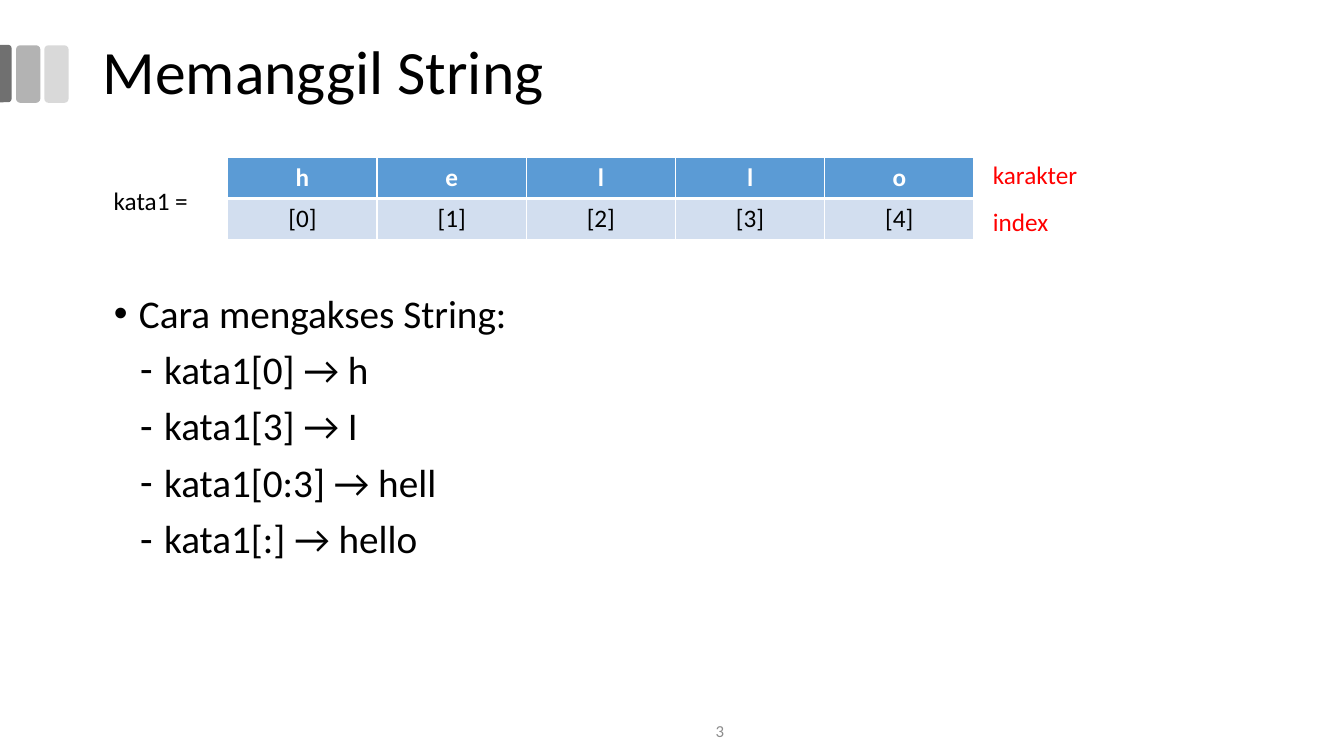
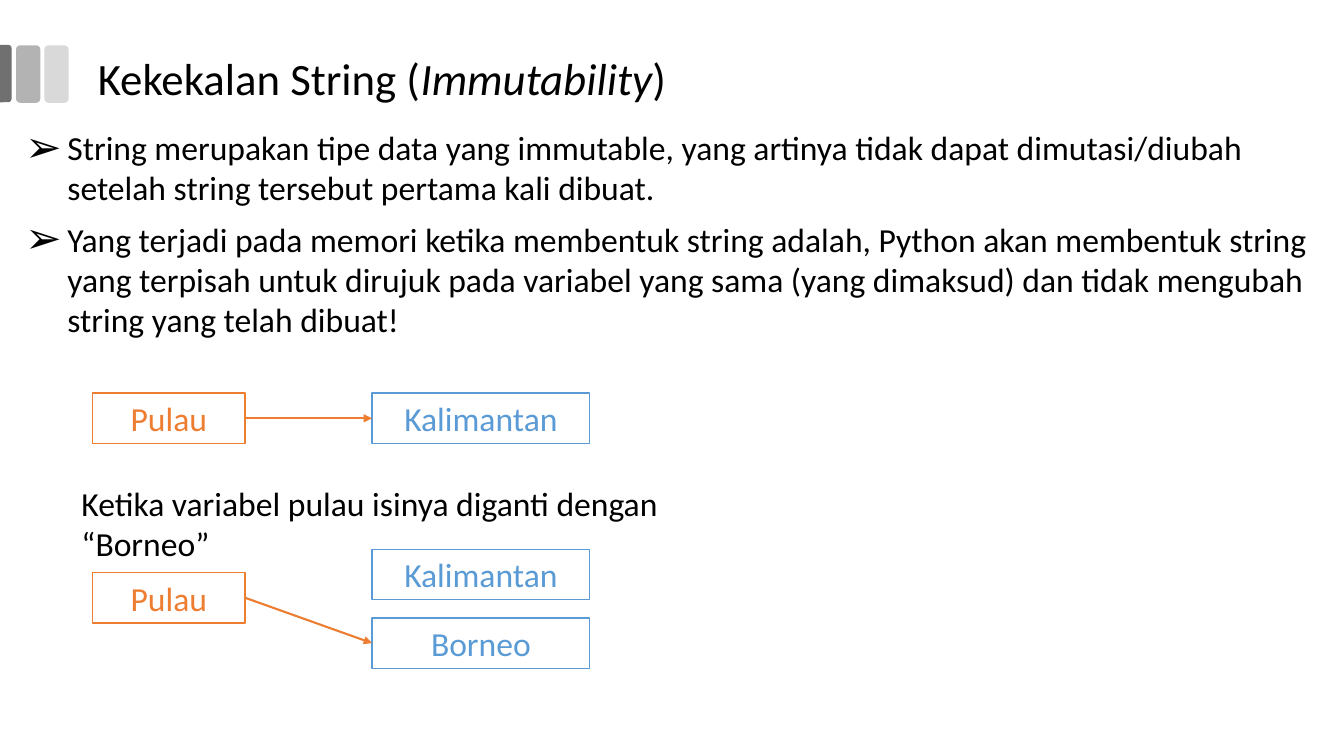
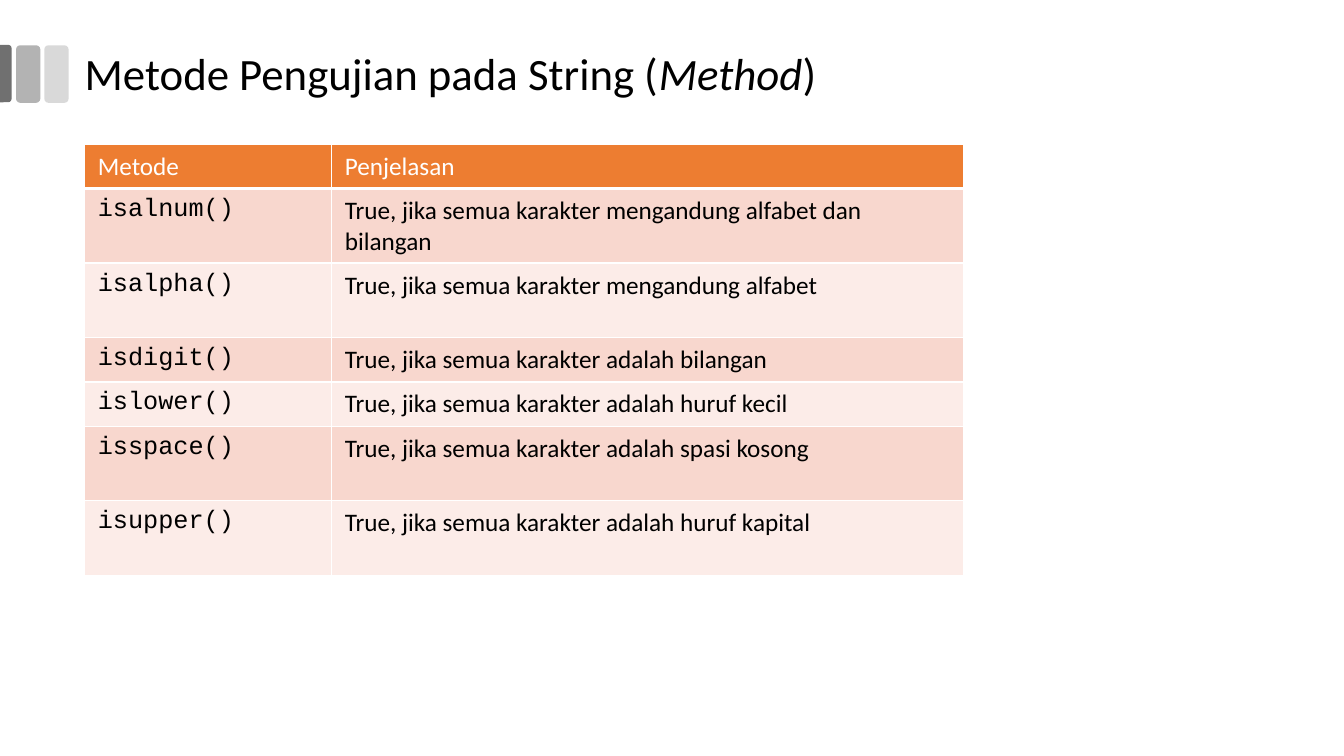
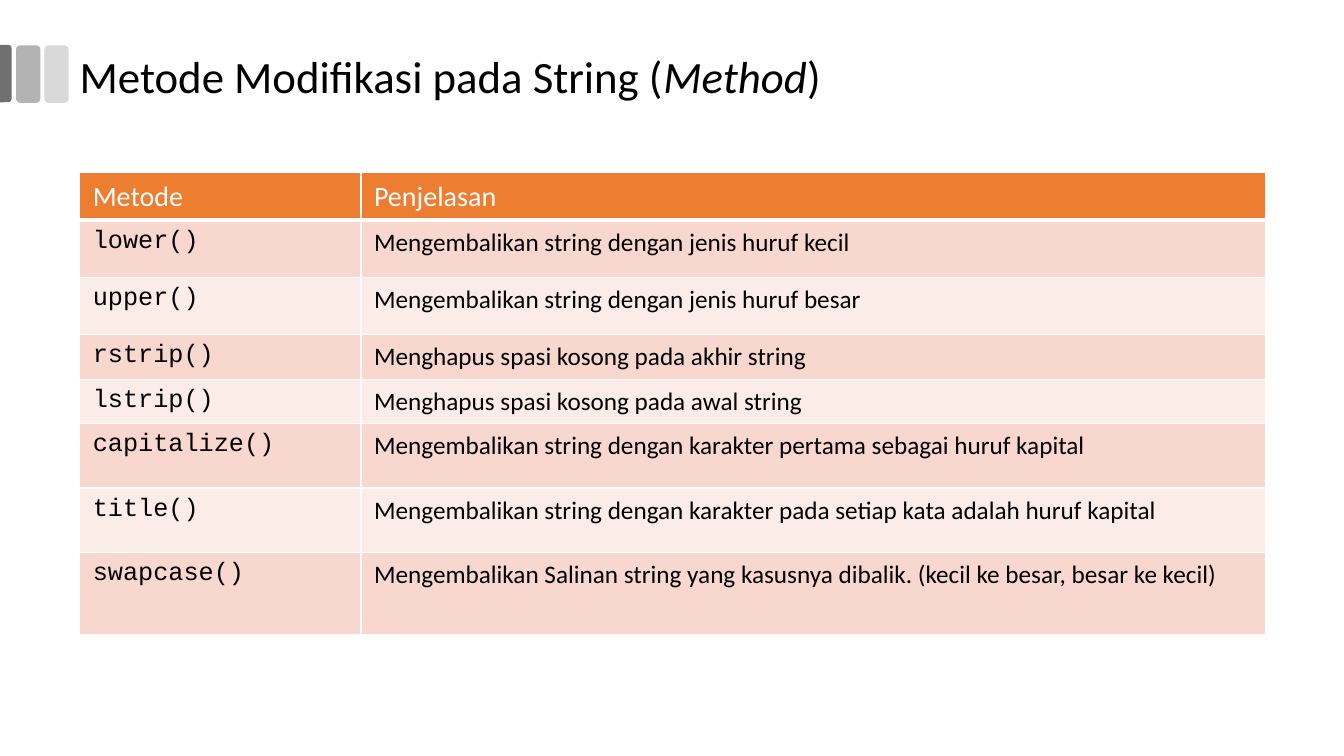
"""Build four slides about strings: indexing, immutability and methods."""
from lxml import etree
from pptx import Presentation
from pptx.dml.color import RGBColor
from pptx.enum.shapes import MSO_CONNECTOR, MSO_SHAPE
from pptx.enum.text import MSO_ANCHOR, PP_ALIGN
from pptx.oxml.ns import qn
from pptx.util import Pt

PX = 9144
MID = MSO_ANCHOR.MIDDLE
TOP = MSO_ANCHOR.TOP
CENTER = PP_ALIGN.CENTER
LEFT = PP_ALIGN.LEFT
RECT = MSO_SHAPE.RECTANGLE
ROUND = MSO_SHAPE.ROUNDED_RECTANGLE
HALF = MSO_SHAPE.ROUND_2_SAME_RECTANGLE
LINE = MSO_CONNECTOR.STRAIGHT

BLACK = RGBColor(0x00, 0x00, 0x00)
WHITE = RGBColor(0xFF, 0xFF, 0xFF)
RED = RGBColor(0xFF, 0x00, 0x00)
BLUE = RGBColor(0x5B, 0x9B, 0xD5)
PALE = RGBColor(0xD2, 0xDE, 0xEF)
ORANGE = RGBColor(0xED, 0x7D, 0x31)
PEACH = RGBColor(0xF8, 0xD7, 0xCE)
CREAM = RGBColor(0xFC, 0xEC, 0xE8)
GREY = RGBColor(0x8C, 0x8C, 0x8C)
DARK = RGBColor(0x70, 0x70, 0x70)
SILVER = RGBColor(0xB3, 0xB3, 0xB3)
LIGHT = RGBColor(0xD9, 0xD9, 0xD9)

SANS = "Calibri"
MONO = "Courier New"
WIDE = {"margin_left": 13 * PX, "margin_right": 13 * PX}
CELL = {**WIDE, "margin_top": 7 * PX, "margin_bottom": 7 * PX}
HEAD = {**WIDE, "margin_top": 13 * PX, "margin_bottom": 13 * PX}


def write(frame, lines, size, color, face=SANS, bold=False, **form):
    """Fill a frame with lines; parts between bars are italic."""
    frame.word_wrap = True
    for num, line in enumerate(lines):
        para = frame.add_paragraph() if num else frame.paragraphs[0]
        for key, val in form.items():
            setattr(para, key, val)
        for spot, part in enumerate(line.split("|")):
            run = para.add_run()
            run.text = part
            look = {"size": Pt(size), "name": face, "bold": bold, "italic": spot % 2 == 1}
            for key, val in look.items():
                setattr(run.font, key, val)
            run.font.color.rgb = color


def grid(slide, left, top, cols, rows, data, fills, sizes, faces, pads, align, bold):
    """Add a table with a coloured head row and banded rows."""
    table = slide.shapes.add_table(
        len(rows), len(cols), left * PX, top * PX, sum(cols) * PX, sum(rows) * PX
    ).table
    for col, wide in zip(table.columns, cols):
        col.width = wide * PX
    for y, (row, high) in enumerate(zip(table.rows, rows)):
        row.height = high * PX
        for x, cell in enumerate(row.cells):
            for key, val in pads.items():
                setattr(cell, key, val)
            props = cell._tc.get_or_add_tcPr()
            for side in "LRTB":
                thick = 3 if side == "B" and y == 0 else 1
                edge = etree.SubElement(props, qn(f"a:ln{side}"), w=str(Pt(thick)))
                paint = etree.SubElement(edge, qn("a:solidFill"))
                etree.SubElement(paint, qn("a:srgbClr"), val=str(WHITE))
            cell.fill.solid()
            cell.fill.fore_color.rgb = fills[2 - y % 2] if y else fills[0]
            write(cell.text_frame, [data[y][x]], sizes[min(y, 1)],
                  BLACK if y else WHITE, faces[x] if y else SANS,
                  bold and y == 0, alignment=align)


deck = Presentation()
deck.slide_width = 1333 * PX
deck.slide_height = 750 * PX
blank = deck.slide_layouts[6]

TITLES = [
    ("Memanggil String", (92, 1, 1150, 145), 44, MID, {}),
    ("Kekekalan String (|Immutability|)", (84, 43, 1150, 74), 32, TOP, HEAD),
    ("Metode Pengujian pada String (|Method|)", (71, 38, 1150, 95), 32, TOP, HEAD),
    ("Metode Modifikasi pada String (|Method|)", (66, 41, 1150, 59), 32, TOP, HEAD),
]
slides = []
for title, area, size, anchor, pads in TITLES:
    slide = deck.slides.add_slide(blank)
    slides.append(slide)
    frame = slide.shapes.add_textbox(*[n * PX for n in area]).text_frame
    frame.vertical_anchor = anchor
    for key, val in pads.items():
        setattr(frame, key, val)
    write(frame, [title], size, BLACK, line_spacing=0.9)
access, fixed, tests, edits = slides

BARS = [
    (ROUND, (44, 45, 24, 57), LIGHT, 0),
    (ROUND, (16, 45, 24, 57), SILVER, 0),
    (HALF, (-23, 67, 57, 12), DARK, 90),
]
for kind, area, color, turn in BARS:
    bar = access.shapes.add_shape(kind, *[n * PX for n in area])
    bar.rotation = turn
    bar.shadow.inherit = False
    bar.fill.solid()
    bar.fill.fore_color.rgb = color
    bar.line.fill.background()
    if kind == HALF:
        bar.adjustments[0] = 0.29
    blank.shapes.element.append(bar.element)

word = "hello"
grid(access, 226, 156, [148] * 5, [41] * 2,
     [list(word), [f"[{n}]" for n in range(len(word))]],
     (BLUE, PALE, PALE), (18, 18), [SANS] * 5, {}, CENTER, True)

LABELS = [
    ("kata1 =", (103, 179, 100, 40), BLACK),
    ("karakter", (975, 153, 104, 40), RED),
    ("index", (975, 200, 76, 40), RED),
]
for text, area, color in LABELS:
    frame = access.shapes.add_textbox(*[n * PX for n in area]).text_frame
    write(frame, [text], 18, color)
    frame.word_wrap = False

body = access.shapes.add_textbox(103 * PX, 287 * PX, 989 * PX, 285 * PX).text_frame
write(body, ["Cara mengakses String:", "kata1[0] → h", "kata1[3] → I",
             "kata1[0:3] → hell", "kata1[:] → hello"],
      28, BLACK, line_spacing=0.9, space_before=Pt(10))
page = access.shapes.add_textbox(564 * PX, 705 * PX, 300 * PX, 40 * PX).text_frame
page.vertical_anchor = MID
write(page, ["3"], 12, GREY, alignment=CENTER)

facts = fixed.shapes.add_textbox(15 * PX, 121 * PX, 1295 * PX, 223 * PX).text_frame
write(facts, [
    "String merupakan tipe data yang immutable, yang artinya tidak dapat "
    "dimutasi/diubah setelah string tersebut pertama kali dibuat.",
    "Yang terjadi pada memori ketika membentuk string adalah, Python akan "
    "membentuk string yang terpisah untuk dirujuk pada variabel yang sama "
    "(yang dimaksud) dan tidak mengubah string yang telah dibuat!",
], 24, BLACK, space_after=Pt(8))

MARKS = [(body.paragraphs[:1], "•", 25, 25, 100),
         (body.paragraphs[1:], "-", 50, 24, 100),
         (facts.paragraphs, "➢", 42, 42, 130)]
for paras, mark, left, hang, scale in MARKS:
    for para in paras:
        props = para._p.get_or_add_pPr()
        props.set("marL", str(left * PX))
        props.set("indent", str(-hang * PX))
        etree.SubElement(props, qn("a:buSzPct"), val=str(scale * 1000))
        etree.SubElement(props, qn("a:buFont"), typeface="Arial")
        etree.SubElement(props, qn("a:buChar"), char=mark)

BOXES = [
    ("Pulau", 92, 390, 151, ORANGE),
    ("Kalimantan", 369, 390, 216, BLUE),
    ("Kalimantan", 369, 545, 216, BLUE),
    ("Borneo", 369, 613, 216, BLUE),
    ("Pulau", 92, 568, 151, ORANGE),
]
boxes = []
for text, left, top, wide, color in BOXES:
    box = fixed.shapes.add_shape(RECT, left * PX, top * PX, wide * PX, 50 * PX)
    box.shadow.inherit = False
    box.fill.solid()
    box.fill.fore_color.rgb = WHITE
    box.line.color.rgb = color
    box.line.width = Pt(1)
    write(box.text_frame, [text], 24, color, alignment=CENTER)
    boxes.append(box)

for start, end in [(0, 1), (4, 3)]:
    arrow = fixed.shapes.add_connector(LINE, 0, 0, 0, 0)
    arrow.begin_connect(boxes[start], 3)
    arrow.end_connect(boxes[end], 1)
    arrow.line.color.rgb = ORANGE
    arrow.line.width = Pt(1.5)
    etree.SubElement(arrow.line._get_or_add_ln(), qn("a:tailEnd"), type="triangle")
    etree.SubElement(arrow.element.spPr, qn("a:effectLst"))

note = fixed.shapes.add_textbox(71 * PX, 474 * PX, 643 * PX, 91 * PX).text_frame
write(note, ["Ketika variabel pulau isinya diganti dengan “Borneo”"], 24, BLACK)

TESTS = [
    ("Metode", "Penjelasan"),
    ("isalnum()", "True, jika semua karakter mengandung alfabet dan bilangan"),
    ("isalpha()", "True, jika semua karakter mengandung alfabet"),
    ("isdigit()", "True, jika semua karakter adalah bilangan"),
    ("islower()", "True, jika semua karakter adalah huruf kecil"),
    ("isspace()", "True, jika semua karakter adalah spasi kosong"),
    ("isupper()", "True, jika semua karakter adalah huruf kapital"),
]
EDITS = [
    ("Metode", "Penjelasan"),
    ("lower()", "Mengembalikan string dengan jenis huruf kecil"),
    ("upper()", "Mengembalikan string dengan jenis huruf besar"),
    ("rstrip()", "Menghapus spasi kosong pada akhir string"),
    ("lstrip()", "Menghapus spasi kosong pada awal string"),
    ("capitalize()", "Mengembalikan string dengan karakter pertama sebagai huruf kapital"),
    ("title()", "Mengembalikan string dengan karakter pada setiap kata adalah huruf kapital"),
    ("swapcase()", "Mengembalikan Salinan string yang kasusnya dibalik. "
                   "(kecil ke besar, besar ke kecil)"),
]
TABLES = [
    (tests, 84, 143, [245, 627], [44, 74, 74, 44, 44, 74, 74], TESTS, 18),
    (edits, 79, 171, [279, 897], [46, 57, 57, 44, 44, 64, 64, 81], EDITS, 20),
]
for slide, left, top, cols, rows, data, size in TABLES:
    grid(slide, left, top, cols, rows, data, (ORANGE, PEACH, CREAM),
         (size, 18), (MONO, SANS), CELL, LEFT, False)

deck.save("out.pptx")
